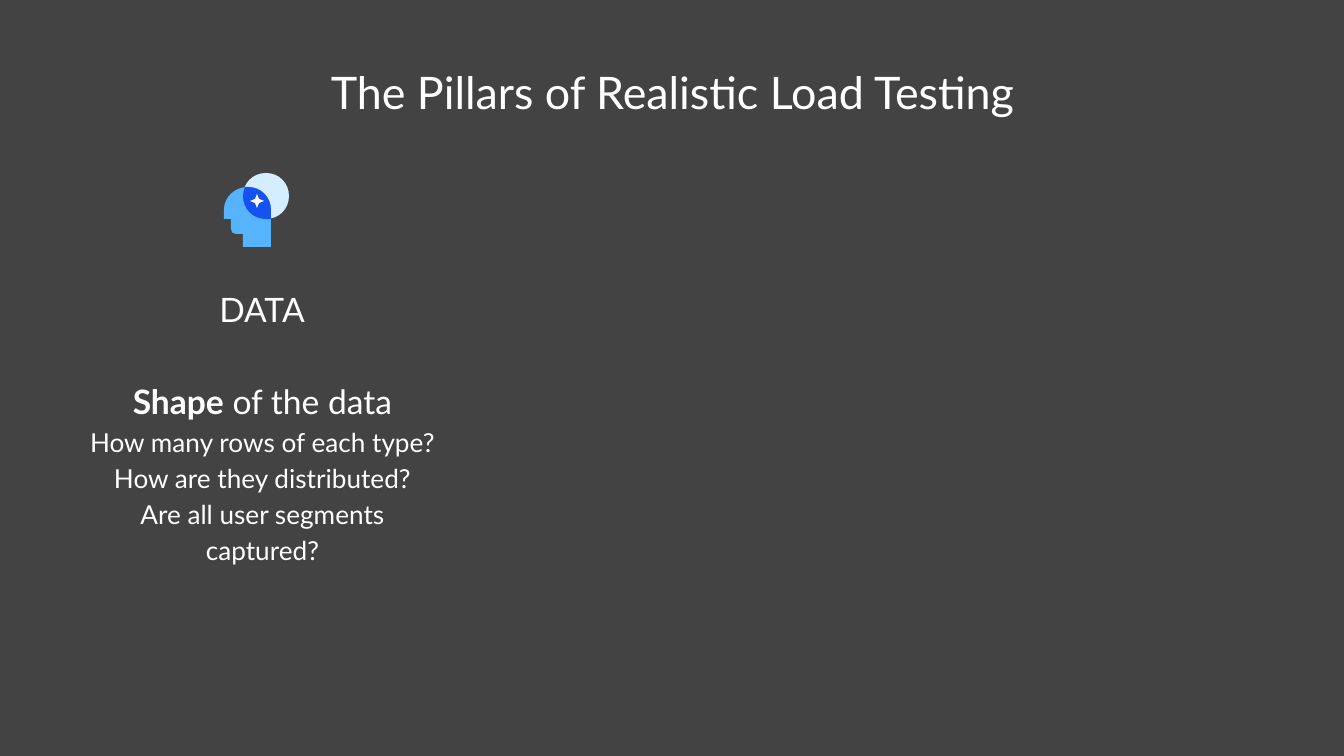
"""Build the slide on the data pillar of realistic load testing."""
from pptx import Presentation
from pptx.dml.color import RGBColor
from pptx.enum.text import MSO_ANCHOR, MSO_AUTO_SIZE, PP_ALIGN
from pptx.oxml.ns import qn
from pptx.util import Pt

PX = 914400 / 134.4
FONT = "Lato"
GREY = RGBColor(0x43, 0x43, 0x43)
WHITE = RGBColor(0xFF, 0xFF, 0xFF)
PALE = RGBColor(0xD4, 0xEE, 0xFF)
SKY = RGBColor(0x56, 0xB4, 0xFC)
BLUE = RGBColor(0x16, 0x52, 0xF0)


def write(para, text, size, bold=False):
    para.alignment = PP_ALIGN.CENTER
    run = para.add_run()
    run.text = text
    run.font.name = FONT
    run.font.size = Pt(size)
    run.font.bold = bold
    run.font.color.rgb = WHITE


def trace(group, start, steps, color):
    pen = group.shapes.build_freeform(*start, scale=PX)
    pen.add_line_segments([spot for step in steps for spot in step])
    part = pen.convert_to_shape()
    parts = part._element.iter(qn("a:lnTo"))
    edges = iter(list(parts))
    for step in steps:
        first, *rest = [next(edges) for spot in step]
        if rest:
            first.tag = qn("a:cubicBezTo")
        for edge in rest:
            first.append(edge[0])
            edge.getparent().remove(edge)
    part.shadow.inherit = False
    part.fill.solid()
    part.fill.fore_color.rgb = color
    part.line.fill.background()


deck = Presentation()
deck.slide_width = round(1344 * PX)
deck.slide_height = round(756 * PX)
slide = deck.slides.add_slide(deck.slide_layouts[1])
slide.background.fill.solid()
slide.background.fill.fore_color.rgb = GREY

title = slide.shapes.title
body = slide.placeholders[1]
label = slide.shapes.add_textbox(0, 0, 0, 0)
boxes = [
    (title, (114, 52, 1117, 66), (13, 13), MSO_ANCHOR.TOP),
    (body, (75, 350, 375, 324), (12, 6), MSO_ANCHOR.TOP),
    (label, (170, 295, 184, 28), (6, 3), MSO_ANCHOR.MIDDLE),
]
for box, place, inset, anchor in boxes:
    box.left, box.top, box.width, box.height = [round(v * PX) for v in place]
    frame = box.text_frame
    frame.word_wrap = True
    frame.auto_size = MSO_AUTO_SIZE.NONE
    frame.vertical_anchor = anchor
    frame.margin_left = frame.margin_right = round(inset[0] * PX)
    frame.margin_top = frame.margin_bottom = round(inset[1] * PX)

write(title.text_frame.paragraphs[0], "The Pillars of Realistic Load Testing", 24)
write(label.text_frame.paragraphs[0], "DATA", 18)

lines = [
    (1.63, 18, [("Shape", True), (" of the data", False)]),
    (1.15, 14, [("How many rows of each type?", False)]),
    (1.15, 14, [("How are they distributed?", False)]),
    (1.15, 14, [("Are all user segments captured?", False)]),
]
frame = body.text_frame
for n, (space, size, runs) in enumerate(lines):
    para = frame.add_paragraph() if n else frame.paragraphs[0]
    props = para._p.get_or_add_pPr()
    props.set("marL", "0")
    props.set("indent", "0")
    props.append(props.makeelement(qn("a:buNone"), {}))
    para.line_spacing = space
    para.space_before = Pt(0)
    for text, bold in runs:
        write(para, text, size, bold)

crown = [(271, 197), (261, 187), (248, 187)]
bowl = [(243, 209), (253, 219), (266, 219)]
disc = [
    [(253, 173), (243, 183), (243, 196)],
    bowl,
    [(279, 219), (289, 209), (289, 196)],
    [(289, 183), (279, 173), (266, 173)],
]
head = [
    [(235, 187), (224, 197), (224, 210)],
    [(224, 219)],
    [(231, 219)],
    [(231, 229)],
    [(231, 232), (233, 234), (236, 234)],
    [(243, 234)],
    [(243, 247)],
    [(271, 247)],
    [(271, 210)],
    crown,
]
lens = [
    [(247, 187), (246, 187), (245, 187)],
    [(244, 190), (243, 193), (243, 196)],
    bowl,
    [(268, 219), (269, 219), (271, 219)],
    [(271, 210)],
    crown,
]
star = [[(255, 199)], [(250, 201)], [(255, 203)], [(257, 208)],
        [(259, 203)], [(264, 201)], [(259, 199)], [(257, 194)]]

icon = slide.shapes.add_group_shape()
trace(icon, (266, 173), disc, PALE)
trace(icon, (248, 187), head, SKY)
trace(icon, (248, 187), lens, BLUE)
trace(icon, (257, 194), star, WHITE)

deck.save("out.pptx")
